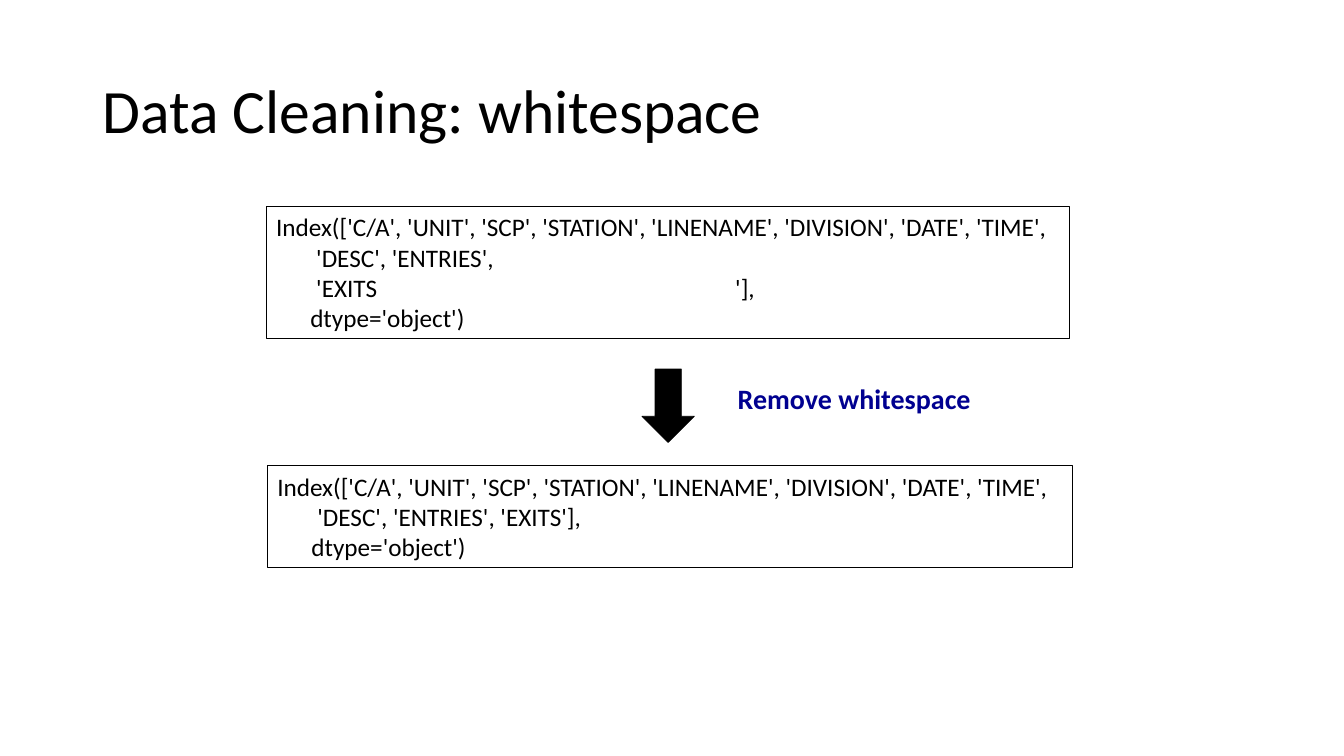
import pptx
import pptx.dml.color
import pptx.enum.shapes
import pptx.enum.text
import pptx.util

Cm = pptx.util.Cm
Pt = pptx.util.Pt
MSO_ANCHOR = pptx.enum.text.MSO_ANCHOR
MSO_SHAPE = pptx.enum.shapes.MSO_SHAPE
PP_ALIGN = pptx.enum.text.PP_ALIGN

COLORS = {"ink": "000000", "accent": "000090"}
ITEM_INDENT = 1.01
DTYPE_INDENT = 0.86
COLUMNS = "Index(['C/A', 'UNIT', 'SCP', 'STATION', 'LINENAME', 'DIVISION', 'DATE', 'TIME',"
DTYPE = "dtype='object')"
EXITS_PADDING = " " * 63

RAW_INDEX = [
    (COLUMNS, 0),
    ("'DESC', 'ENTRIES',", ITEM_INDENT),
    (f"'EXITS{EXITS_PADDING}'],", ITEM_INDENT),
    (DTYPE, DTYPE_INDENT),
]
CLEAN_INDEX = [
    (COLUMNS, 0),
    ("'DESC', 'ENTRIES', 'EXITS'],", ITEM_INDENT),
    (DTYPE, DTYPE_INDENT),
]


class SlideBuilder:
    """Holds the slide and its style, and adds each kind of element."""

    font_name = "Calibri"

    def __init__(self, slide):
        self.slide = slide

    def color(self, name):
        return pptx.dml.color.RGBColor.from_string(COLORS[name])

    def add_text_run(self, paragraph, text, size, color="ink", bold=False):
        paragraph.alignment = PP_ALIGN.LEFT
        run = paragraph.add_run()
        run.text = text
        run.font.name = self.font_name
        run.font.size = Pt(size)
        run.font.bold = bold
        run.font.color.rgb = self.color(color)

    def text(self, left, top, width, height, text, size, color="ink", bold=False,
             wrap=True, anchor=MSO_ANCHOR.TOP, line_spacing=1.0):
        shape = self.slide.shapes.add_textbox(Cm(left), Cm(top), Cm(width), Cm(height))
        frame = shape.text_frame
        frame.word_wrap = wrap
        frame.vertical_anchor = anchor
        paragraph = frame.paragraphs[0]
        paragraph.line_spacing = line_spacing
        self.add_text_run(paragraph, text, size, color, bold)

    def shape(self, kind, left, top, width, height, line_width, fill=None):
        shape = self.slide.shapes.add_shape(kind, Cm(left), Cm(top), Cm(width), Cm(height))
        shape.shadow.inherit = False
        shape.line.color.rgb = self.color("ink")
        shape.line.width = Pt(line_width)
        if fill:
            shape.fill.solid()
            shape.fill.fore_color.rgb = self.color(fill)
        else:
            shape.fill.background()
        return shape

    def code_box(self, left, top, width, height, lines):
        shape = self.shape(MSO_SHAPE.RECTANGLE, left, top, width, height, 0.75)
        frame = shape.text_frame
        frame.word_wrap = True
        frame.vertical_anchor = MSO_ANCHOR.TOP
        for number, (text, indent) in enumerate(lines):
            paragraph = frame.add_paragraph() if number else frame.paragraphs[0]
            properties = paragraph._p.get_or_add_pPr()
            properties.set("marL", str(Cm(indent)))
            properties.set("indent", "0")
            self.add_text_run(paragraph, text, 18)


def main():
    presentation = pptx.Presentation()
    presentation.slide_width = Cm(33.87)
    presentation.slide_height = Cm(19.05)
    builder = SlideBuilder(presentation.slides.add_slide(presentation.slide_layouts[6]))

    builder.text(2.34, 1.02, 29.21, 3.68, "Data Cleaning: whitespace", 44,
                 anchor=MSO_ANCHOR.MIDDLE, line_spacing=0.9)
    builder.code_box(6.71, 5.21, 20.24, 3.33, RAW_INDEX)
    builder.code_box(6.74, 11.74, 20.29, 2.57, CLEAN_INDEX)
    builder.shape(MSO_SHAPE.DOWN_ARROW, 16.18, 9.3, 1.32, 1.85, 0.5, fill="ink")
    builder.text(18.34, 9.5, 6.43, 1.12, "Remove whitespace", 20,
                 color="accent", bold=True, wrap=False)

    presentation.save("out.pptx")


if __name__ == "__main__":
    main()
